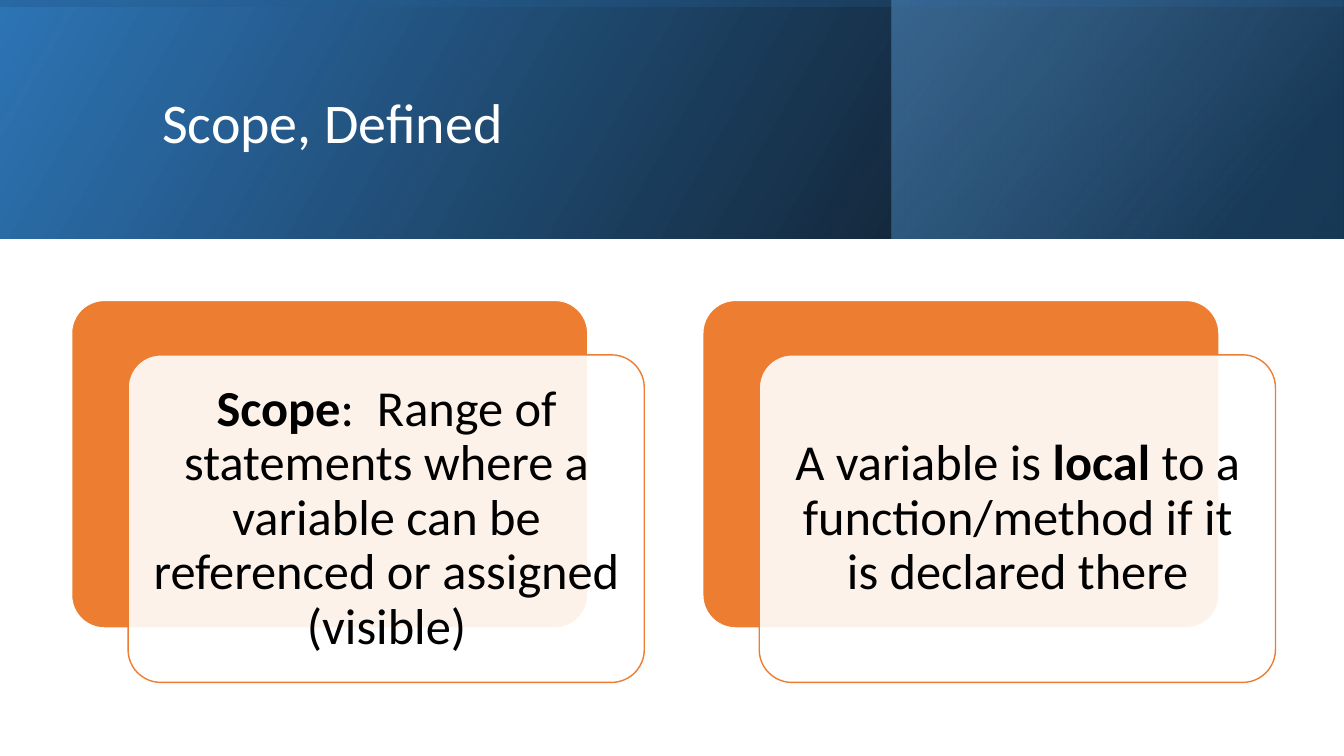
from dataclasses import dataclass

from lxml.etree import SubElement
from pptx import Presentation
from pptx.dml.color import RGBColor
from pptx.enum.shapes import MSO_SHAPE
from pptx.enum.text import MSO_ANCHOR, PP_ALIGN
from pptx.oxml import parse_xml
from pptx.oxml.ns import nsdecls, qn
from pptx.util import Inches, Pt


@dataclass(frozen=True)
class Theme:
    font: str = "Calibri"
    title_size: int = 40
    body_size: int = 36
    white: str = "FFFFFF"
    black: str = "000000"
    orange: str = "ED7D31"
    deep_blue: str = "2E75B6"
    navy: str = "1F4E79"
    sky_blue: str = "5B9BD5"


class SlideBuilder:
    def __init__(self, slide, theme):
        self.slide = slide
        self.theme = theme

    def add_shape(self, kind, left, top, width, height):
        shape = self.slide.shapes.add_shape(
            kind, Inches(left), Inches(top), Inches(width), Inches(height))
        shape.shadow.inherit = False
        return shape

    def add_gradient(self, left, top, width, height, stops, angle, rotation=0):
        """Add a mirrored rectangle; stops are (position %, colour, opacity %)."""
        shape = self.add_shape(MSO_SHAPE.RECTANGLE, left, top, width, height)
        shape.rotation = rotation
        shape.line.fill.background()
        shape.fill.background()
        properties = shape.element.spPr
        properties.find(qn("a:xfrm")).set("flipH", "1")
        stop_xml = "".join(
            f'<a:gs pos="{position * 1000}"><a:srgbClr val="{color}">'
            f'<a:alpha val="{opacity * 1000}"/></a:srgbClr></a:gs>'
            for position, color, opacity in stops)
        gradient = parse_xml(
            f'<a:gradFill {nsdecls("a")} rotWithShape="1"><a:gsLst>{stop_xml}</a:gsLst>'
            f'<a:lin ang="{angle * 60000}" scaled="0"/></a:gradFill>')
        properties.replace(properties.find(qn("a:noFill")), gradient)

    def add_panel(self, left, top, width, height, fill, line, opacity=100):
        shape = self.add_shape(MSO_SHAPE.ROUNDED_RECTANGLE, left, top, width, height)
        shape.adjustments[0] = 0.1
        shape.fill.solid()
        shape.fill.fore_color.rgb = RGBColor.from_string(fill)
        shape.line.color.rgb = RGBColor.from_string(line)
        shape.line.width = Pt(1)
        if opacity < 100:
            color = shape.element.spPr.find(qn("a:solidFill"))[0]
            SubElement(color, qn("a:alpha")).set("val", str(opacity * 1000))

    def add_text(self, left, top, width, height, runs, size, color,
                 alignment=PP_ALIGN.LEFT, inset=0.1):
        """Add middle-anchored text; runs are (text, bold) pairs."""
        box = self.slide.shapes.add_textbox(
            Inches(left), Inches(top), Inches(width), Inches(height))
        frame = box.text_frame
        frame.word_wrap = True
        frame.vertical_anchor = MSO_ANCHOR.MIDDLE
        frame.margin_left = frame.margin_right = Inches(inset)
        frame.margin_top = frame.margin_bottom = Inches(inset)
        paragraph = frame.paragraphs[0]
        paragraph.alignment = alignment
        paragraph.line_spacing = 0.9
        paragraph.font.name = self.theme.font
        paragraph.font.size = Pt(size)
        paragraph.font.color.rgb = RGBColor.from_string(color)
        for text, bold in runs:
            run = paragraph.add_run()
            run.text = text
            if bold:
                run.font.bold = True

    def add_card(self, left, top, runs):
        """Add a white text panel overlapping an orange backing panel."""
        theme = self.theme
        width, height = 5.12, 3.25
        front_left, front_top = left + 0.56, top + 0.54
        self.add_panel(left, top, width, height, theme.orange, theme.white)
        self.add_panel(front_left, front_top, width, height,
                       theme.white, theme.orange, opacity=90)
        self.add_text(front_left + 0.1, front_top + 0.1, width - 0.19, height - 0.19,
                      runs, theme.body_size, theme.black, PP_ALIGN.CENTER, 0.15)


def main():
    presentation = Presentation()
    presentation.slide_width = Inches(13.33)
    presentation.slide_height = Inches(7.5)
    slide = presentation.slides.add_slide(presentation.slide_layouts[6])
    theme = Theme()
    builder = SlideBuilder(slide, theme)

    banner_width, banner_height = 13.33, 2.37
    builder.add_gradient(0, 0, banner_width, banner_height,
                         [(0, theme.black, 96), (100, theme.deep_blue, 100)], 330)
    builder.add_gradient(8.84, 0, 4.48, banner_height,
                         [(19, theme.navy, 68), (100, theme.sky_blue, 48)], 320)
    # A quarter turn lays this tall rectangle across the banner.
    offset = (banner_width - banner_height) / 2
    builder.add_gradient(offset, -offset, banner_height, banner_width,
                         [(23, theme.deep_blue, 16), (99, theme.black, 45)], 350,
                         rotation=270)
    builder.add_text(1.51, 0.38, 10.63, 1.72, [("Scope, Defined", False)],
                     theme.title_size, theme.white)

    cards = [
        [("Scope", True),
         (":  Range of statements where a variable can be referenced or assigned (visible)",
          False)],
        [("A variable is ", False), ("local", True),
         (" to a function/method if it is declared there", False)],
    ]
    for index, runs in enumerate(cards):
        builder.add_card(0.71 + index * 6.26, 2.98, runs)

    presentation.save("out.pptx")


if __name__ == "__main__":
    main()
